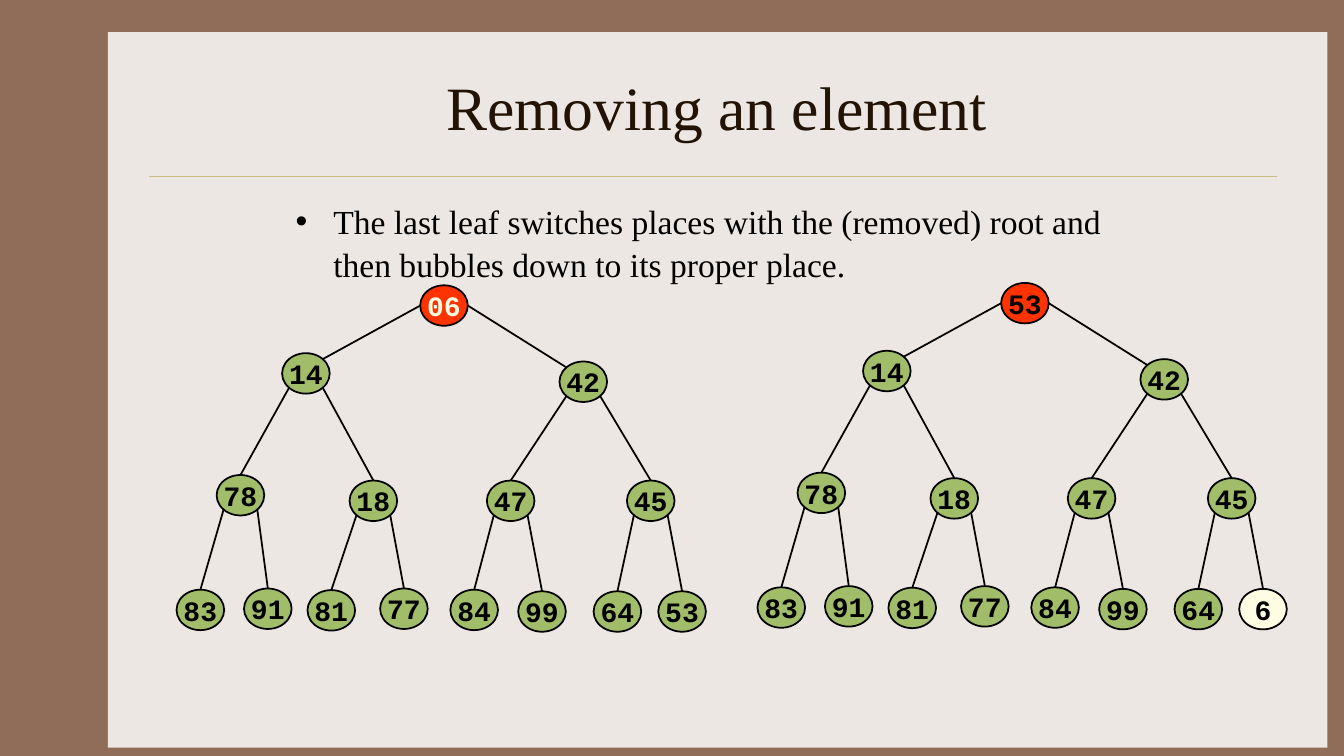
from math import sqrt
from lxml.etree import SubElement
from pptx import Presentation
from pptx.dml.color import RGBColor
from pptx.enum.shapes import MSO_CONNECTOR, MSO_SHAPE
from pptx.enum.text import MSO_ANCHOR, PP_ALIGN
from pptx.oxml.ns import qn
from pptx.util import Cm, Pt

theme = {
    "frame": RGBColor.from_string("906D58"),
    "panel": RGBColor.from_string("EDE7E3"),
    "rule": RGBColor.from_string("CBBD83"),
    "title": RGBColor.from_string("221304"),
    "ink": RGBColor.from_string("000000"),
    "node": RGBColor.from_string("A1BD69"),
    "root": RGBColor.from_string("FF3300"),
    "light": RGBColor.from_string("FEFDE3"),
    "title_font": {"name": "Times New Roman", "size": Pt(44)},
    "body_font": {"name": "Times New Roman", "size": Pt(24)},
    "node_font": {"name": "Courier New", "size": Pt(20), "bold": True},
}


def write_text(shape, text, font, color, frame_format, paragraph_format):
    frame = shape.text_frame
    for name, value in frame_format.items():
        setattr(frame, name, value)
    paragraph = frame.paragraphs[0]
    for name, value in paragraph_format.items():
        setattr(paragraph, name, value)
    run = paragraph.add_run()
    run.text = text
    for name, value in font.items():
        setattr(run.font, name, value)
    run.font.color.rgb = color
    return paragraph


def add_line(shapes, start, end, color, width):
    line = shapes.add_connector(
        MSO_CONNECTOR.STRAIGHT, *[Cm(value) for value in (*start, *end)])
    line.line.color.rgb = color
    line.line.width = Pt(width)
    SubElement(line._element.spPr, qn("a:effectLst"))
    return line


presentation = Presentation()
presentation.slide_width, presentation.slide_height = Cm(33.87), Cm(19.05)
slide = presentation.slides.add_slide(presentation.slide_layouts[6])
slide.background.fill.solid()
slide.background.fill.fore_color.rgb = theme["frame"]

panel = slide.shapes.add_shape(
    MSO_SHAPE.RECTANGLE, Cm(2.72), Cm(0.81), Cm(30.73), Cm(18.03))
panel.shadow.inherit = False
panel.fill.solid()
panel.fill.fore_color.rgb = theme["panel"]
panel.line.fill.background()
add_line(slide.shapes, (3.76, 4.45), (32.18, 4.45), theme["rule"], 0.25)

title = slide.shapes.add_textbox(Cm(3.96), Cm(1.07), Cm(28.22), Cm(3.18))
write_text(title, "Removing an element", theme["title_font"], theme["title"],
           {"word_wrap": True, "vertical_anchor": MSO_ANCHOR.MIDDLE},
           {"alignment": PP_ALIGN.CENTER})

body = slide.shapes.add_textbox(Cm(7.2), Cm(4.88), Cm(21.17), Cm(2.97))
paragraph = write_text(
    body,
    "The last leaf switches places with the (removed) root and "
    "then bubbles down to its proper place.",
    theme["body_font"], theme["ink"], {"word_wrap": True}, {"line_spacing": 1.06})
properties = paragraph._p.get_or_add_pPr()
properties.set("marL", str(Cm(0.95)))
properties.set("indent", str(Cm(-0.95)))
SubElement(properties, qn("a:buFont"), typeface="Arial")
SubElement(properties, qn("a:buChar"), char="•")

node_width, node_height = 1.2, 1.02
diagonal_x, diagonal_y = node_width / sqrt(8), node_height / sqrt(8)
node_places = [
    (10.59, 7.19),
    (7.11, 8.9), (14.1, 9.11),
    (5.46, 11.97), (8.81, 12.11), (12.27, 12.11), (15.8, 12.11),
    (4.45, 14.86), (6.15, 14.83), (7.75, 14.87), (9.58, 14.83),
    (11.35, 14.86), (13.06, 14.9), (14.96, 14.9), (16.59, 14.9),
]
inner_labels = ["14", "42", "78", "18", "47", "45",
                "83", "91", "81", "77", "84", "99", "64"]
heaps = [
    {"offset": (0, 0), "labels": ["06", *inner_labels, "53"],
     "root_text": theme["light"], "last_fill": theme["node"]},
    {"offset": (14.64, -0.06), "labels": ["53", *inner_labels, "6"],
     "root_text": theme["ink"], "last_fill": theme["light"]},
]

for heap in heaps:
    group = slide.shapes.add_group_shape()
    offset_x, offset_y = heap["offset"]
    fills = [theme["root"], *[theme["node"]] * 13, heap["last_fill"]]
    text_colors = [heap["root_text"], *[theme["ink"]] * 14]
    nodes, centers = [], []
    for (left, top), label, fill, text_color in zip(
            node_places, heap["labels"], fills, text_colors):
        left, top = left + offset_x, top + offset_y
        node = group.shapes.add_shape(
            MSO_SHAPE.OVAL, Cm(left), Cm(top), Cm(node_width), Cm(node_height))
        node.shadow.inherit = False
        node.fill.solid()
        node.fill.fore_color.rgb = fill
        node.line.color.rgb = theme["ink"]
        node.line.width = Pt(1.25)
        write_text(node, label, theme["node_font"], text_color,
                   {"word_wrap": False, "vertical_anchor": MSO_ANCHOR.MIDDLE},
                   {"alignment": PP_ALIGN.CENTER})
        nodes.append(node)
        centers.append((left + node_width / 2, top + node_height / 2))

    for child in range(1, len(nodes)):
        parent = (child - 1) // 2
        side = -1 if child % 2 else 1
        parent_x, parent_y = centers[parent]
        child_x, child_y = centers[child]
        if parent == 0:
            start = (parent_x + side * node_width / 2, parent_y)
            end = (child_x - side * diagonal_x, child_y - diagonal_y)
        else:
            start = (parent_x + side * diagonal_x, parent_y + diagonal_y)
            end = (child_x, child_y - node_height / 2)
        branch = add_line(group.shapes, start, end, theme["ink"], 1.25)
        if parent:
            branch.end_connect(nodes[child], 0)

presentation.save("out.pptx")
